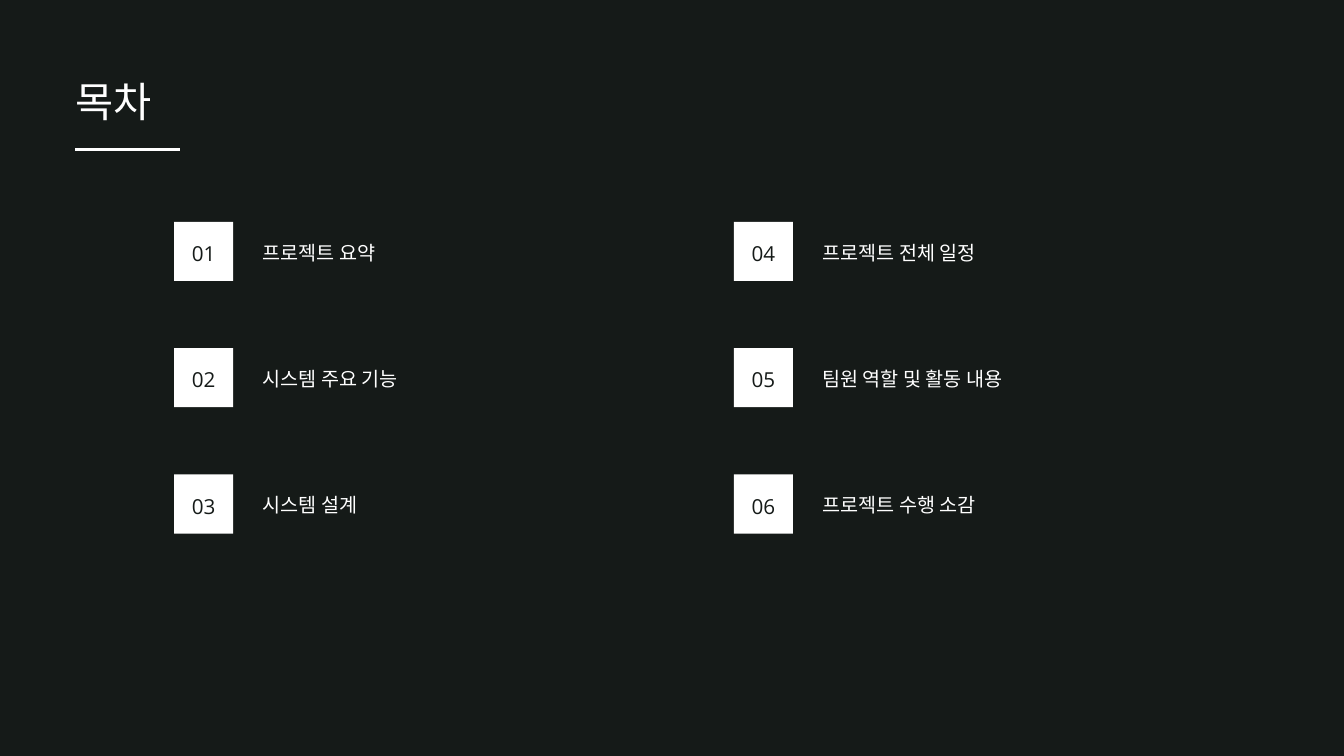
from lxml import etree
from pptx import Presentation
from pptx.dml.color import RGBColor
from pptx.enum.shapes import MSO_CONNECTOR, MSO_SHAPE
from pptx.enum.text import MSO_ANCHOR, MSO_AUTO_SIZE, PP_ALIGN
from pptx.oxml.ns import qn
from pptx.util import Inches, Pt

DARK = RGBColor(0x15, 0x1A, 0x18)
WHITE = RGBColor(0xFF, 0xFF, 0xFF)
KOREAN = "Noto Sans CJK KR"
LATIN = "Open Sans"

TOPICS = [
    "프로젝트 요약", "시스템 주요 기능", "시스템 설계",
    "프로젝트 전체 일정", "팀원 역할 및 활동 내용", "프로젝트 수행 소감",
]
ROWS = 3
COLUMN_STEP, ROW_STEP = 8.33, 1.88
TILE = 0.88


def write(box, text, *, size, leading, font=KOREAN, color=WHITE, align=PP_ALIGN.LEFT):
    """Fill a box with one line of formatted text, without margins."""
    frame = box.text_frame
    frame.word_wrap = True
    frame.auto_size = MSO_AUTO_SIZE.NONE
    frame.vertical_anchor = MSO_ANCHOR.TOP
    frame.margin_left = frame.margin_right = 0
    frame.margin_top = frame.margin_bottom = 0
    para = frame.paragraphs[0]
    para.alignment = align
    para.line_spacing = Pt(leading)
    para.space_before = Pt(0)
    span = para.add_run()
    span.text = text
    span.font.size = Pt(size)
    span.font.name = font
    span.font.color.rgb = color
    # Korean letters take the East Asian typeface
    east_asian = etree.SubElement(span.font._element, qn("a:ea"))
    east_asian.set("typeface", font)


def add_text(page, text, left, top, width, height, **style):
    box = page.shapes.add_textbox(
        Inches(left), Inches(top), Inches(width), Inches(height))
    write(box, text, **style)


def add_heading(page, left, top, width, height):
    title = page.shapes.title
    title.left, title.top = Inches(left), Inches(top)
    title.width, title.height = Inches(width), Inches(height)
    write(title, "목차", size=44.4, leading=56.4)

    # Underline
    y = Inches(top + 1.13)
    rule = page.shapes.add_connector(
        MSO_CONNECTOR.STRAIGHT, Inches(left), y, Inches(left + 1.56), y)
    rule.line.color.rgb = WHITE
    rule.line.width = Pt(3)
    etree.SubElement(rule._element.spPr, qn("a:effectLst"))


def add_entry(page, number, topic, left, top):
    # Numbered tile
    tile = page.shapes.add_shape(
        MSO_SHAPE.RECTANGLE, Inches(left), Inches(top), Inches(TILE), Inches(TILE))
    tile.shadow.inherit = False
    tile.fill.solid()
    tile.fill.fore_color.rgb = WHITE
    tile.line.fill.background()
    add_text(page, f"{number:02d}", left + 0.14, top + 0.22, 0.6, 0.41,
             size=22.1, leading=31, font=LATIN, color=DARK, align=PP_ALIGN.CENTER)

    # Topic
    add_text(page, topic, left + 1.32, top + 0.22, 5.17, 0.39, size=21, leading=29.4)


def add_contents(page, left, top):
    for index, topic in enumerate(TOPICS):
        column, row = divmod(index, ROWS)
        add_entry(page, index + 1, topic,
                  left + column * COLUMN_STEP, top + row * ROW_STEP)


def main():
    deck = Presentation()
    deck.slide_width, deck.slide_height = Inches(20), Inches(11.25)
    page = deck.slides.add_slide(deck.slide_layouts[5])
    page.background.fill.solid()
    page.background.fill.fore_color.rgb = DARK
    add_heading(page, 1.12, 1.09, 4.62, 0.76)
    add_contents(page, 2.59, 3.3)
    deck.save("out.pptx")


if __name__ == "__main__":
    main()
